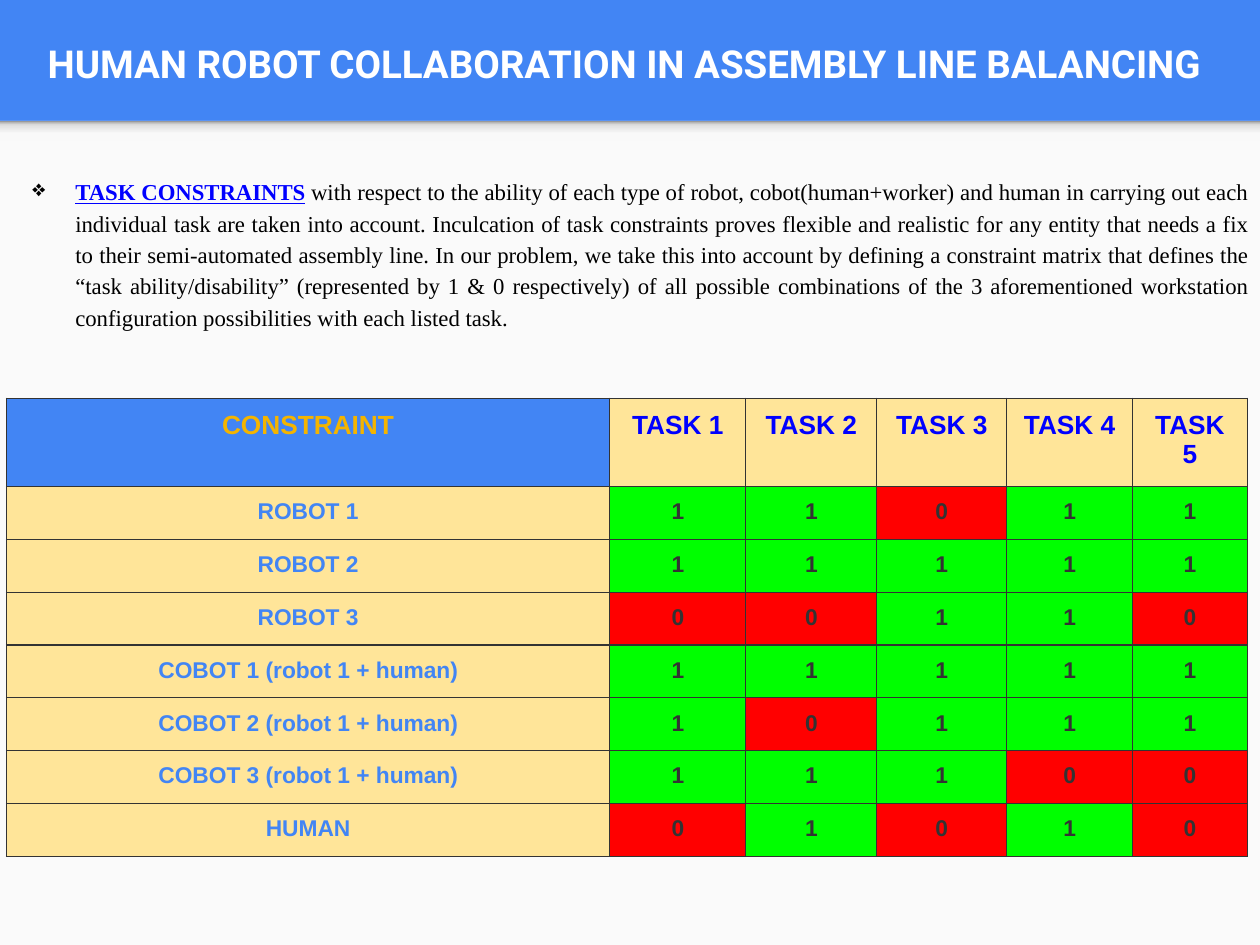
from dataclasses import dataclass

from lxml import etree
from pptx import Presentation
from pptx.dml.color import RGBColor
from pptx.enum.shapes import MSO_SHAPE
from pptx.enum.text import MSO_ANCHOR, MSO_AUTO_SIZE, PP_ALIGN
from pptx.oxml.ns import qn
from pptx.util import Inches, Pt

RECTANGLE = MSO_SHAPE.RECTANGLE
MIDDLE = MSO_ANCHOR.MIDDLE
NO_RESIZE = MSO_AUTO_SIZE.NONE
CENTER = PP_ALIGN.CENTER
JUSTIFY = PP_ALIGN.JUSTIFY
TITLE_ONLY = 5


@dataclass(frozen=True)
class Theme:
    blue: str = "4285F4"
    panel: str = "FAFAFA"
    white: str = "FFFFFF"
    black: str = "000000"
    link_blue: str = "0000FF"
    gold: str = "F4B400"
    cream: str = "FFE599"
    able: str = "00FF00"
    unable: str = "FF0000"
    ink: str = "333333"
    title_font: str = "Roboto"
    body_font: str = "Times New Roman"
    table_font: str = "Arial"
    title_size: float = 22
    header_size: float = 15
    body_size: float = 13
    border_width: float = 0.75


@dataclass(frozen=True)
class Area:
    left: float
    top: float
    width: float
    height: float

    def lengths(self) -> list:
        return [Inches(n) for n in (self.left, self.top, self.width, self.height)]


@dataclass(frozen=True)
class Style:
    font: str
    size: float
    color: str
    bold: bool = True
    underline: bool = False


@dataclass(frozen=True)
class Resource:
    name: str
    abilities: str


THEME = Theme()
HEADER = Style(THEME.table_font, THEME.header_size, THEME.link_blue)
CORNER = Style(THEME.table_font, THEME.header_size, THEME.gold)
NAME = Style(THEME.table_font, THEME.body_size, THEME.blue)
VALUE = Style(THEME.table_font, THEME.body_size, THEME.ink)
LEAD = Style(THEME.body_font, THEME.body_size, THEME.link_blue, underline=True)
BODY = Style(THEME.body_font, THEME.body_size, THEME.black, bold=False)

TITLE = "HUMAN ROBOT COLLABORATION IN ASSEMBLY LINE BALANCING"
EXPLANATION = (
    " with respect to the ability of each type of robot, cobot(human+worker) and human "
    "in carrying out each individual task are taken into account. Inculcation of task "
    "constraints proves flexible and realistic for any entity that needs a fix to their "
    "semi-automated assembly line. In our problem, we take this into account by defining "
    "a constraint matrix that defines the “task ability/disability” (represented by 1 & 0 "
    "respectively) of all possible combinations of the 3 aforementioned workstation "
    "configuration possibilities with each listed task."
)
RESOURCES = [
    Resource("ROBOT 1", "11011"),
    Resource("ROBOT 2", "11111"),
    Resource("ROBOT 3", "00110"),
    Resource("COBOT 1 (robot 1 + human)", "11111"),
    Resource("COBOT 2 (robot 1 + human)", "10111"),
    Resource("COBOT 3 (robot 1 + human)", "11100"),
    Resource("HUMAN", "01010"),
]
COLUMN_WIDTHS = [4.79, 1.08, 1.04, 1.03, 1, 0.91]
HEADER_HEIGHT = 0.7
ROW_HEIGHT = 0.42
SHADOW_STOPS = [(0, "F9F9F9"), (36, "F9F9F9"), (80, "DEDEDE"), (100, "999999")]


def add_span(para, text: str, style: Style) -> None:
    span = para.add_run()
    span.text = text
    font = span.font
    font.name = style.font
    font.size = Pt(style.size)
    font.bold = style.bold
    font.underline = style.underline
    font.color.rgb = RGBColor.from_string(style.color)


def set_margins(holder) -> None:
    for side in ("left", "top", "right", "bottom"):
        setattr(holder, f"margin_{side}", Inches(0.1))


def add_panel(page, area: Area):
    panel = page.shapes.add_shape(RECTANGLE, *area.lengths())
    panel.shadow.inherit = False
    panel.line.fill.background()
    panel.fill.solid()
    panel.fill.fore_color.rgb = RGBColor.from_string(THEME.panel)
    return panel


def add_color(parent, color: str) -> None:
    etree.SubElement(parent, qn("a:srgbClr"), val=color)


def add_header_shadow(page) -> None:
    strip = add_panel(page, Area(0, 0.96, 10, 0.16))
    strip.fill.gradient()
    strip.fill.gradient_angle = 90
    stops = strip.element.spPr.find(qn("a:gradFill")).find(qn("a:gsLst"))
    for stop in list(stops):
        stops.remove(stop)
    for percent, color in SHADOW_STOPS:
        add_color(etree.SubElement(stops, qn("a:gs"), pos=str(percent * 1000)), color)


def format_title(page) -> None:
    title = page.shapes.title
    title.left, title.top, title.width, title.height = Area(0.13, 0.17, 9.65, 0.66).lengths()
    frame = title.text_frame
    frame.word_wrap = True
    frame.auto_size = NO_RESIZE
    frame.vertical_anchor = MIDDLE
    set_margins(frame)
    para = frame.paragraphs[0]
    para.alignment = CENTER
    add_span(para, TITLE, Style(THEME.title_font, THEME.title_size, THEME.white))


def add_explanation(page) -> None:
    box = page.shapes.add_textbox(*Area(0, 1.28, 10, 1.71).lengths())
    frame = box.text_frame
    frame.word_wrap = True
    set_margins(frame)
    para = frame.paragraphs[0]
    para.alignment = JUSTIFY
    para.line_spacing = 1.15
    properties = para._p.get_or_add_pPr()
    properties.set("marL", str(Inches(0.5)))
    properties.set("indent", str(Inches(-0.34)))
    add_color(etree.SubElement(properties, qn("a:buClr")), THEME.black)
    etree.SubElement(properties, qn("a:buChar"), char="❖")
    add_span(para, "TASK CONSTRAINTS", LEAD)
    add_span(para, EXPLANATION, BODY)


def fill_cell(cell, text: str, style: Style, fill: str) -> None:
    set_margins(cell)
    properties = cell._tc.get_or_add_tcPr()
    for side in ("lnL", "lnR", "lnT", "lnB"):
        line = etree.SubElement(properties, qn(f"a:{side}"), w=str(Pt(THEME.border_width)))
        add_color(etree.SubElement(line, qn("a:solidFill")), THEME.ink)
    cell.fill.solid()
    cell.fill.fore_color.rgb = RGBColor.from_string(fill)
    para = cell.text_frame.paragraphs[0]
    para.alignment = CENTER
    add_span(para, text, style)


def add_constraint_table(page) -> None:
    height = HEADER_HEIGHT + ROW_HEIGHT * len(RESOURCES)
    area = Area(0.05, 3.16, sum(COLUMN_WIDTHS), height)
    table = page.shapes.add_table(len(RESOURCES) + 1, len(COLUMN_WIDTHS), *area.lengths()).table
    table.first_row = table.horz_banding = False
    for column, width in zip(table.columns, COLUMN_WIDTHS):
        column.width = Inches(width)
    for row in table.rows:
        row.height = Inches(ROW_HEIGHT)
    table.rows[0].height = Inches(HEADER_HEIGHT)

    fill_cell(table.cell(0, 0), "CONSTRAINT", CORNER, THEME.blue)
    for number in range(1, len(COLUMN_WIDTHS)):
        fill_cell(table.cell(0, number), f"TASK {number}", HEADER, THEME.cream)
    for row_number, resource in enumerate(RESOURCES, 1):
        fill_cell(table.cell(row_number, 0), resource.name, NAME, THEME.cream)
        for number, ability in enumerate(resource.abilities, 1):
            fill = THEME.able if ability == "1" else THEME.unable
            fill_cell(table.cell(row_number, number), ability, VALUE, fill)


def main() -> None:
    deck = Presentation()
    deck.slide_width, deck.slide_height = Inches(10), Inches(7.5)
    page = deck.slides.add_slide(deck.slide_layouts[TITLE_ONLY])
    page.background.fill.solid()
    page.background.fill.fore_color.rgb = RGBColor.from_string(THEME.blue)
    add_panel(page, Area(0, 0.96, 10, 6.54))
    add_header_shadow(page)
    format_title(page)
    add_explanation(page)
    add_constraint_table(page)
    deck.save("out.pptx")


if __name__ == "__main__":
    main()
